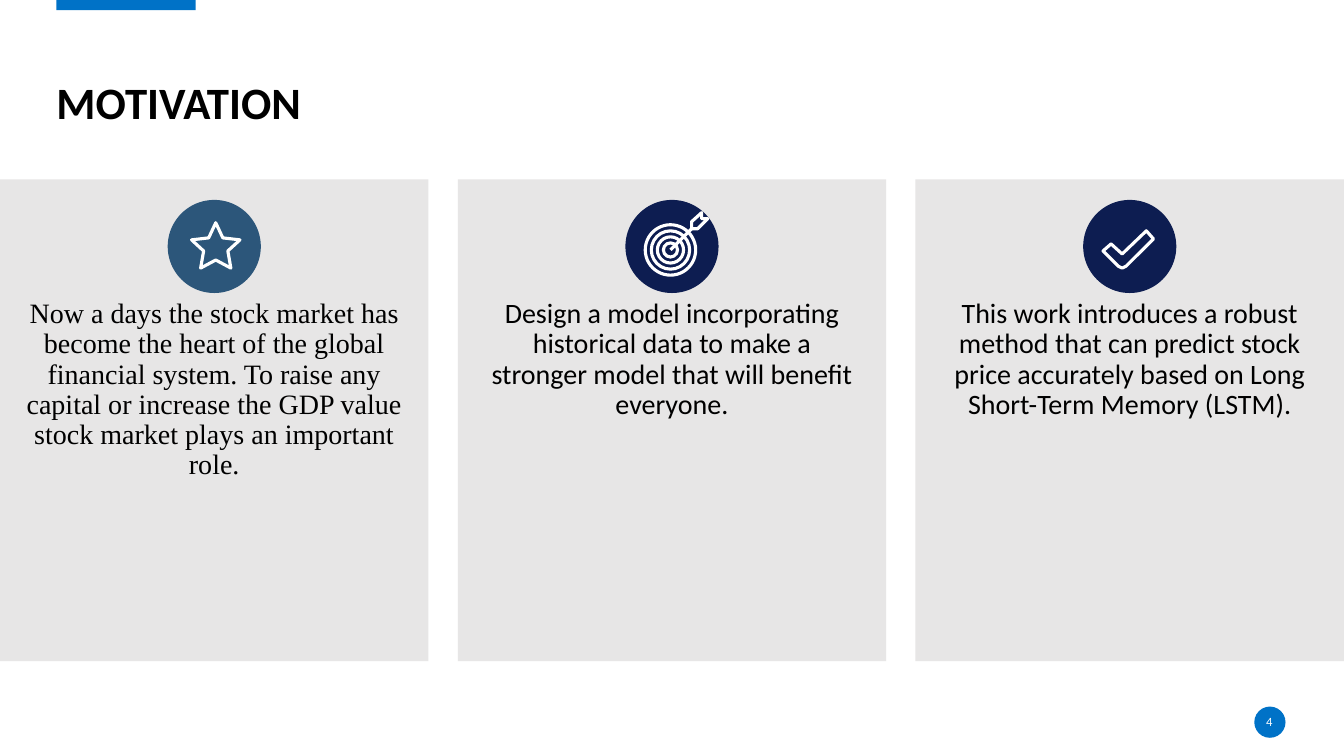
from dataclasses import dataclass

from lxml import etree
from pptx import Presentation
from pptx import util as u
from pptx.dml.color import RGBColor
from pptx.enum import shapes, text
from pptx.oxml import ns

Inches, Pt = u.Inches, u.Pt


@dataclass(frozen=True)
class Theme:
    card: str = "E7E6E6"
    accent: str = "0072C7"
    navy: str = "0D1D51"
    steel: str = "2C567A"
    ink: str = "000000"
    white: str = "FFFFFF"
    font: str = "Calibri"
    serif: str = "Times New Roman"
    title: int = 32
    body: int = 20
    small: int = 9
    stroke: float = 2.25


THEME = Theme()
PAGE_WIDTH, PAGE_HEIGHT = 13.33, 7.5
CARD_WIDTH, CARD_HEIGHT, CARD_TOP = 4.25, 4.78, 1.78
CARD_STEP = (PAGE_WIDTH - CARD_WIDTH) / 2

# Icon outlines, measured from the left edge of their card
STAR = [(2.14, 2.21), (2.21, 2.36), (2.38, 2.38), (2.26, 2.49), (2.29, 2.66),
        (2.14, 2.58), (1.99, 2.66), (2.02, 2.49), (1.9, 2.38), (2.07, 2.36)]
CHECK = [(1.86, 2.49), (1.94, 2.42), (2.05, 2.52), (2.29, 2.29),
         (2.36, 2.37), (2.09, 2.64), (2.05, 2.66), (2.01, 2.64)]
FEATHER = [(2.32, 2.27), (2.32, 2.2), (2.42, 2.11),
           (2.42, 2.17), (2.48, 2.17), (2.38, 2.27)]
TARGET_CENTRE = (2.11, 2.48)
RING_RADII = (0.25, 0.19, 0.13, 0.07)


def colour(code):
    return RGBColor.from_string(code)


def style(shape, fill=None, line=None, weight=1):
    shape.shadow.inherit = False
    if fill:
        shape.fill.solid()
        shape.fill.fore_color.rgb = colour(fill)
    else:
        shape.fill.background()
    if line:
        shape.line.color.rgb = colour(line)
        shape.line.width = Pt(weight)
    else:
        shape.line.fill.background()


def add_block(page, kind, left, top, width, height, **look):
    block = page.shapes.add_shape(
        kind, Inches(left), Inches(top), Inches(width), Inches(height))
    style(block, **look)


def add_text(page, wording, left, top, width, height, size, font=THEME.font,
             ink=THEME.ink, bold=False, align=text.PP_ALIGN.LEFT,
             anchor=text.MSO_ANCHOR.TOP, spacing=1.0):
    box = page.shapes.add_textbox(
        Inches(left), Inches(top), Inches(width), Inches(height))
    frame = box.text_frame
    frame.word_wrap = True
    frame.vertical_anchor = anchor
    frame.margin_left = frame.margin_right = 0
    frame.margin_top = frame.margin_bottom = 0
    frame.text = wording
    para = frame.paragraphs[0]
    para.alignment = align
    para.line_spacing = spacing
    for span in para.runs:
        span.font.name = font
        span.font.size = Pt(size)
        span.font.bold = bold
        span.font.color.rgb = colour(ink)


def add_outline(page, left, points):
    corners = [(Inches(left + x), Inches(y)) for x, y in points]
    builder = page.shapes.build_freeform(*corners[0], scale=1.0)
    builder.add_line_segments(corners[1:], close=True)
    style(builder.convert_to_shape(), line=THEME.white, weight=THEME.stroke)


def add_star(page, left):
    add_outline(page, left, STAR)


def add_check(page, left):
    add_outline(page, left, CHECK)


def add_target(page, left):
    x, y = left + TARGET_CENTRE[0], TARGET_CENTRE[1]
    for radius in RING_RADII:
        add_block(page, shapes.MSO_SHAPE.OVAL, x - radius, y - radius,
                  2 * radius, 2 * radius, line=THEME.white,
                  weight=THEME.stroke)
    feather_x, feather_y = FEATHER[0]
    shaft = page.shapes.add_connector(
        shapes.MSO_CONNECTOR.STRAIGHT, Inches(x), Inches(y),
        Inches(left + feather_x), Inches(feather_y))
    shaft.line.color.rgb = colour(THEME.white)
    shaft.line.width = Pt(THEME.stroke)
    etree.SubElement(shaft._element.spPr, ns.qn("a:effectLst"))
    add_outline(page, left, FEATHER)


def add_card(page, left, wording, disc, font, add_icon):
    add_block(page, shapes.MSO_SHAPE.RECTANGLE, left, CARD_TOP,
              CARD_WIDTH, CARD_HEIGHT, fill=THEME.card)
    add_block(page, shapes.MSO_SHAPE.OVAL, left + 1.67, 1.99, 0.91, 0.91,
              fill=disc, line=disc)
    add_icon(page, left)
    add_text(page, wording, left + 0.24, 2.97, 3.77, 3.28, THEME.body,
             font=font, align=text.PP_ALIGN.CENTER, spacing=0.9)


def main():
    deck = Presentation()
    deck.slide_width = Inches(PAGE_WIDTH)
    deck.slide_height = Inches(PAGE_HEIGHT)
    page = deck.slides.add_slide(deck.slide_layouts[6])

    # Heading
    add_block(page, shapes.MSO_SHAPE.RECTANGLE, 0.56, -0.02, 1.38, 0.12,
              fill=THEME.accent)
    add_text(page, "MOTIVATION", 0.56, 0.27, 12.19, 1.01, THEME.title,
             bold=True, anchor=text.MSO_ANCHOR.BOTTOM, spacing=0.9)

    # Three cards
    cards = [
        ("Now a days the stock market has become the heart of the global "
         "financial system. To raise any capital or increase the GDP value "
         "stock market plays an important role.",
         THEME.steel, THEME.serif, add_star),
        ("Design a model incorporating historical data to make a stronger "
         "model that will benefit everyone.",
         THEME.navy, THEME.font, add_target),
        ("This work introduces a robust method that can predict stock price "
         "accurately based on Long Short-Term Memory (LSTM).",
         THEME.navy, THEME.font, add_check),
    ]
    for index, card in enumerate(cards):
        add_card(page, index * CARD_STEP, *card)

    # Page number
    add_block(page, shapes.MSO_SHAPE.OVAL, 12.44, 7.01, 0.31, 0.31,
              fill=THEME.accent)
    add_text(page, "4", 12.43, 7.06, 0.32, 0.2, THEME.small, ink=THEME.white,
             align=text.PP_ALIGN.CENTER, anchor=text.MSO_ANCHOR.MIDDLE)

    deck.save("out.pptx")


if __name__ == "__main__":
    main()
